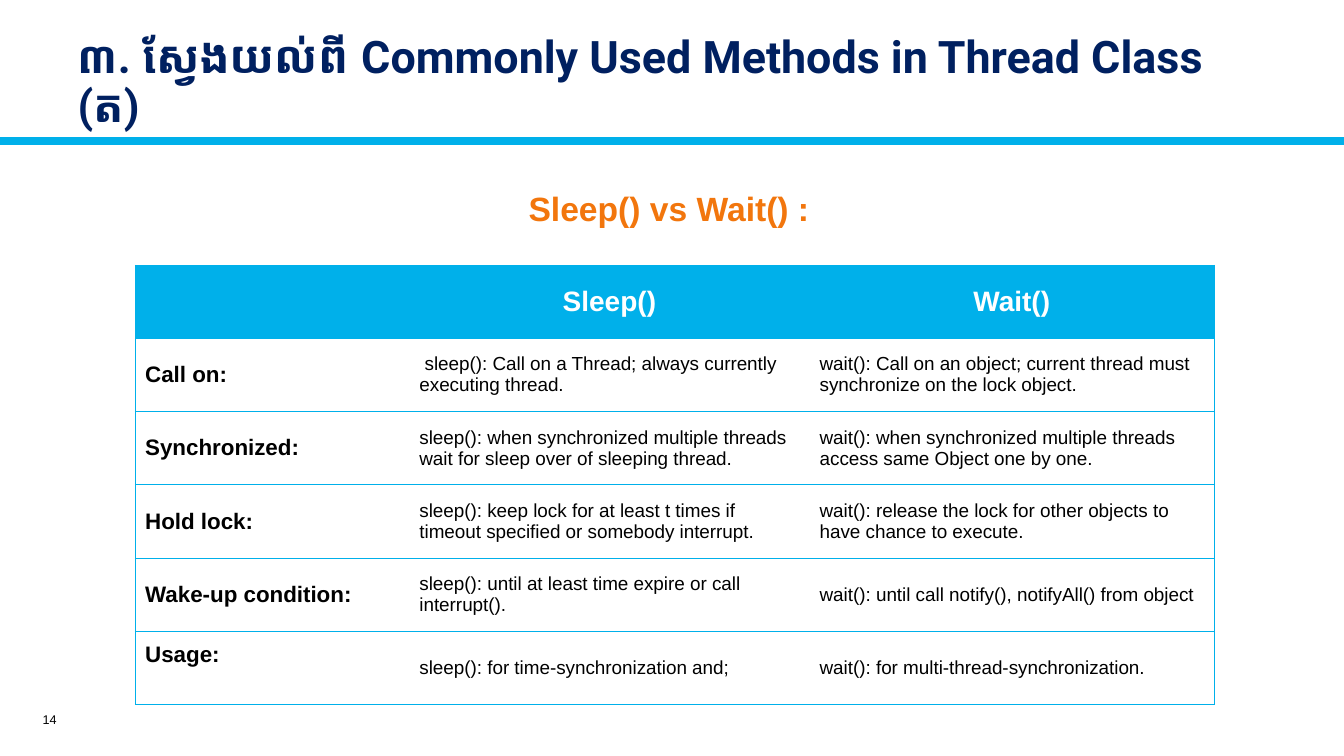
from pptx import Presentation as Deck
from pptx.util import Inches, Pt
from pptx.dml.color import RGBColor as RGB
from pptx.enum.shapes import MSO_CONNECTOR as Link
from pptx.enum.text import PP_ALIGN as Align, MSO_ANCHOR as Anchor, MSO_AUTO_SIZE as Auto
from pptx.oxml.ns import qn
from lxml.etree import SubElement as Sub

TITLE = "៣. សែ្វងយល់ពី Commonly Used Methods in Thread Class (ត)"
HEADING = "Sleep() vs Wait() :"
NUMBER = "14"
ROWS = [
    ("", "Sleep()", "Wait()"),
    ("Call on:",
     " sleep(): Call on a Thread; always currently executing thread.",
     "wait(): Call on an object; current thread must synchronize on the lock object."),
    ("Synchronized:",
     "sleep(): when synchronized multiple threads wait for sleep over of sleeping thread.",
     "wait(): when synchronized multiple threads access same Object one by one."),
    ("Hold lock:",
     "sleep(): keep lock for at least t times if timeout specified or somebody interrupt.",
     "wait(): release the lock for other objects to have chance to execute."),
    ("Wake-up condition:",
     "sleep(): until at least time expire or call interrupt().",
     "wait(): until call notify(), notifyAll() from object"),
    ("Usage:",
     "sleep(): for time-synchronization and;",
     "wait(): for multi-thread-synchronization."),
]
WIDE, HIGH = 13.33, 7.5
COLS = (2.72, 3.97, 4.01)
ROW = 4.36 / len(ROWS)
BLUE = "00B0EA"
STYLES = {
    "title": dict(name="Roboto", size=32, bold=True, color="002060"),
    "heading": dict(name="Arial", size=24, bold=True, color="F2760D"),
    "number": dict(name="Arial", size=9, bold=False, color="000000"),
    "head": dict(name="Arial", size=20, bold=True, color="FFFFFF"),
    "label": dict(name="Arial", size=16, bold=True, color="000000"),
    "body": dict(name="Arial", size=13.5, bold=False, color="000000"),
}


def tint(code):
    return RGB.from_string(code)


def write(frame, text, style, align=Align.LEFT):
    para = frame.paragraphs[0]
    para.alignment = align
    run = para.add_run()
    run.text = text
    for key, val in STYLES[style].items():
        if key == "color":
            run.font.color.rgb = tint(val)
        else:
            setattr(run.font, key, Pt(val) if key == "size" else val)
    return para


def label(box, text, style, align, anchor):
    shape = slide.shapes.add_textbox(*map(Inches, box))
    frame = shape.text_frame
    frame.word_wrap = True
    frame.vertical_anchor = anchor
    write(frame, text, style, align)


def edge(cell, side, shown):
    line = Sub(cell._tc.get_or_add_tcPr(), qn("a:ln" + side), w=str(Pt(0.5)))
    if shown:
        Sub(Sub(line, qn("a:solidFill")), qn("a:srgbClr"), val=BLUE)
    else:
        Sub(line, qn("a:noFill"))


deck = Deck()
deck.slide_width, deck.slide_height = Inches(WIDE), Inches(HIGH)
slide = deck.slides.add_slide(deck.slide_layouts[5])

rule = slide.shapes.add_connector(Link.STRAIGHT, 0, Inches(1.4), Inches(WIDE), Inches(1.4))
rule.line.color.rgb = tint(BLUE)
rule.line.width = Pt(6)
Sub(rule._element.spPr, qn("a:effectLst"))

title = slide.shapes.title
for key, val in dict(left=0.67, top=0.14, width=12.02, height=1.38).items():
    setattr(title, key, Inches(val))
title.text_frame.auto_size = Auto.NONE
title.text_frame.vertical_anchor = Anchor.MIDDLE
write(title.text_frame, TITLE, "title").line_spacing = 0.9

label((0.09, 6.99, 0.57, 0.3), NUMBER, "number", Align.RIGHT, Anchor.MIDDLE)
label((1.62, 1.82, 10.03, 0.5), HEADING, "heading", Align.CENTER, Anchor.TOP)

table = slide.shapes.add_table(
    len(ROWS), len(COLS), Inches(1.34), Inches(2.63),
    Inches(sum(COLS)), Inches(ROW * len(ROWS))).table
table.first_row = table.horz_banding = False
for col, wide in zip(table.columns, COLS):
    col.width = Inches(wide)
for r, row in enumerate(ROWS):
    table.rows[r].height = Inches(ROW)
    for c, text in enumerate(row):
        cell = table.cell(r, c)
        cell.vertical_anchor = Anchor.MIDDLE
        for side, shown in zip("LRTB", (c == 0, c == len(COLS) - 1, True, True)):
            edge(cell, side, shown)
        if r == 0:
            cell.fill.solid()
            cell.fill.fore_color.rgb = tint(BLUE)
        else:
            cell.fill.background()
        style = "head" if r == 0 else "label" if c == 0 else "body"
        if text:
            write(cell.text_frame, text, style, Align.LEFT if r else Align.CENTER)
table.cell(len(ROWS) - 1, 0).margin_bottom = Inches(0.3)

deck.save("out.pptx")
